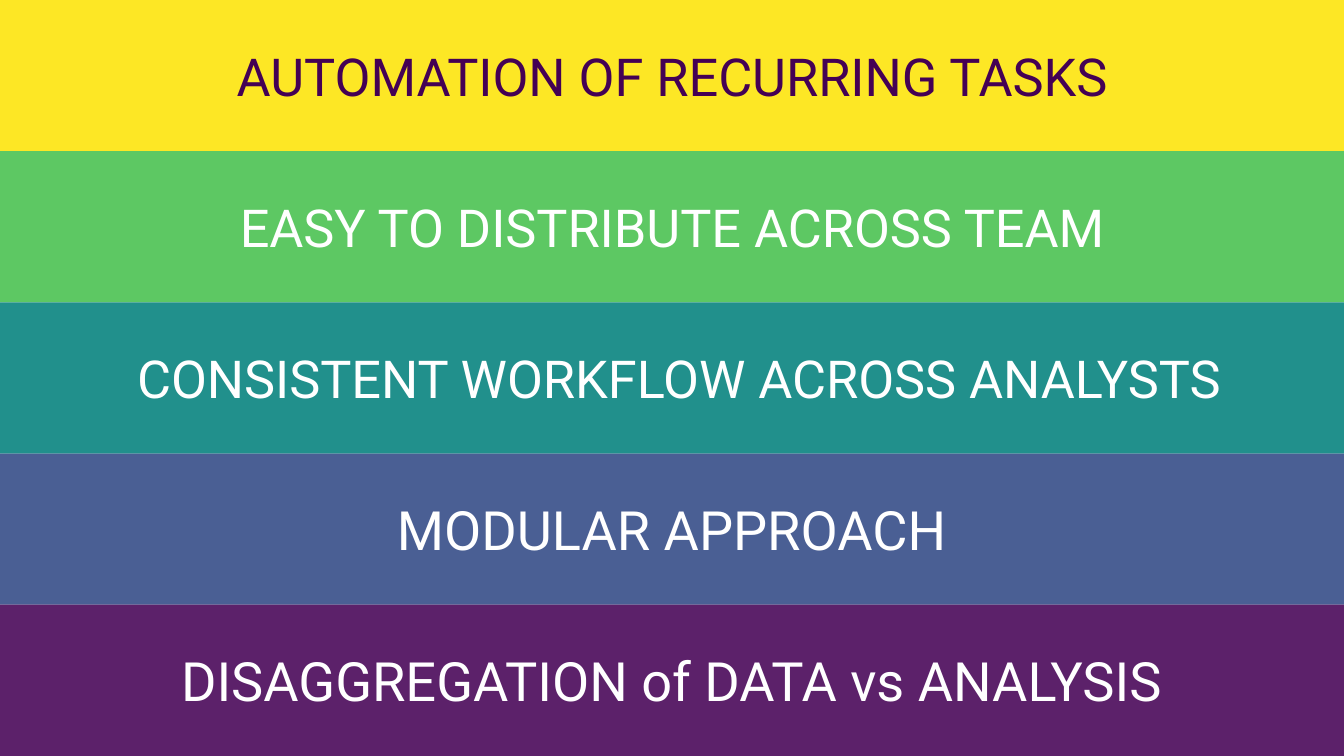
import lxml.etree
import pptx
import pptx.dml.color
import pptx.enum.shapes
import pptx.enum.text
import pptx.oxml.ns
import pptx.util

COLORS = {
    "yellow": "FDE725",
    "green": "5DC863",
    "teal": "21908C",
    "blue": "3B528B",
    "purple": "440154",
    "white": "FFFFFF",
}

# text, fill, opacity in percent, text colour, size, extra left inset in inches
BANDS = [
    ("AUTOMATION OF RECURRING TASKS", "yellow", 100, "purple", 28, 0),
    ("EASY TO DISTRIBUTE ACROSS TEAM", "green", 100, "white", 28, 0),
    ("CONSISTENT WORKFLOW ACROSS ANALYSTS", "teal", 100, "white", 28, 0.1),
    ("MODULAR APPROACH", "blue", 92, "white", 29, 0),
    ("DISAGGREGATION of DATA vs ANALYSIS", "purple", 87, "white", 29, 0),
]


class Deck:
    font = "Roboto"
    inset = 0.1

    def __init__(self, rows):
        self.prs = pptx.Presentation()
        self.prs.slide_width = pptx.util.Inches(10)
        self.prs.slide_height = self.prs.slide_width * 9 // 16
        self.step = self.prs.slide_height // rows
        self.slide = self.prs.slides.add_slide(self.prs.slide_layouts[6])

    def paint(self, fill, color, alpha):
        """Fill with a solid colour at the given opacity in percent."""
        fill.solid()
        fill.fore_color.rgb = pptx.dml.color.RGBColor.from_string(COLORS[color])
        if alpha < 100:
            tag = pptx.oxml.ns.qn("a:srgbClr")
            node = next(fill._xPr.iter(tag))
            part = lxml.etree.SubElement(node, pptx.oxml.ns.qn("a:alpha"))
            part.set("val", str(alpha * 1000))

    def band(self, row, text, color, alpha, ink, size, shift):
        """Add a full-width bar with centred text in the given row."""
        bar = self.slide.shapes.add_shape(
            pptx.enum.shapes.MSO_SHAPE.RECTANGLE,
            0, row * self.step, self.prs.slide_width, self.step)
        bar.shadow.inherit = False
        bar.line.fill.background()
        self.paint(bar.fill, color, alpha)

        frame = bar.text_frame
        frame.word_wrap = True
        frame.vertical_anchor = pptx.enum.text.MSO_ANCHOR.MIDDLE
        frame.margin_left = pptx.util.Inches(self.inset + shift)
        frame.margin_right = frame.margin_top = frame.margin_bottom = (
            pptx.util.Inches(self.inset))
        para = frame.paragraphs[0]
        para.text = text
        para.alignment = pptx.enum.text.PP_ALIGN.CENTER
        para.font.name = self.font
        para.font.size = pptx.util.Pt(size)
        para.font.color.rgb = pptx.dml.color.RGBColor.from_string(COLORS[ink])


def main():
    deck = Deck(len(BANDS))
    for row, band in enumerate(BANDS):
        deck.band(row, *band)
    deck.prs.save("out.pptx")


if __name__ == "__main__":
    main()
